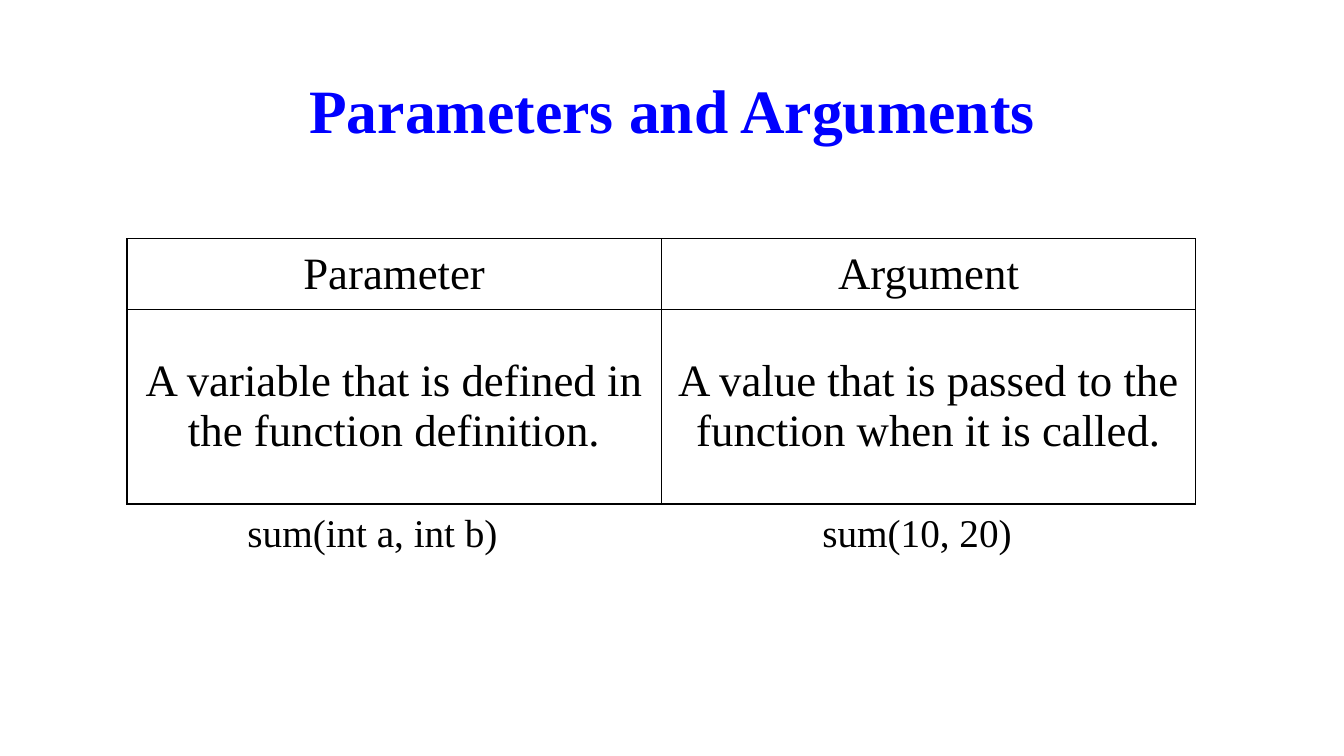
from dataclasses import dataclass

from lxml import etree
from pptx import Presentation
from pptx.dml.color import RGBColor
from pptx.enum import text as kinds
from pptx.oxml import ns
from pptx.util import Pt

PX = 9144


@dataclass(frozen=True)
class Theme:
    font: str = "Times New Roman"
    ink: str = "000000"
    blue: str = "0000FF"
    title: int = 44
    cell: int = 32
    code: int = 28
    rule: int = 1


THEME = Theme()


def px(*sizes):
    return [size * PX for size in sizes]


def write(frame, words, size, color=THEME.ink, bold=False, spacing=None):
    frame.word_wrap = True
    para = frame.paragraphs[0]
    para.text = words
    para.alignment = kinds.PP_ALIGN.CENTER
    para.line_spacing = spacing
    font = para.runs[0].font
    font.name = THEME.font
    font.size = Pt(size)
    font.bold = bold
    font.color.rgb = RGBColor.from_string(color)


def add_title(slide, words, box):
    title = slide.shapes.title
    title.left, title.top, title.width, title.height = px(*box)
    frame = title.text_frame
    frame.auto_size = kinds.MSO_AUTO_SIZE.NONE
    frame.vertical_anchor = kinds.MSO_ANCHOR.MIDDLE
    write(frame, words, THEME.title, THEME.blue, bold=True, spacing=0.9)


def add_code(slide, words, box):
    frame = slide.shapes.add_textbox(*px(*box)).text_frame
    frame.auto_size = kinds.MSO_AUTO_SIZE.SHAPE_TO_FIT_TEXT
    write(frame, words, THEME.code)


def frame_cell(cell):
    props = cell._tc.get_or_add_tcPr()
    for spot, side in enumerate(("lnL", "lnR", "lnT", "lnB")):
        line = etree.Element(ns.qn(f"a:{side}"), w=str(Pt(THEME.rule)))
        fill = etree.SubElement(line, ns.qn("a:solidFill"))
        etree.SubElement(fill, ns.qn("a:srgbClr"), val=THEME.ink)
        props.insert(spot, line)


def add_grid(slide, rows, box, heights, pads):
    table = slide.shapes.add_table(len(rows), len(rows[0]), *px(*box)).table
    table.first_row = table.horz_banding = False
    for row, height, words, (side, edge) in zip(table.rows, heights, rows, pads):
        row.height = height * PX
        for cell, label in zip(row.cells, words):
            cell.fill.background()
            cell.margin_left = cell.margin_right = side * PX
            cell.margin_top = cell.margin_bottom = edge * PX
            cell.vertical_anchor = kinds.MSO_ANCHOR.MIDDLE
            write(cell.text_frame, label, THEME.cell)
            frame_cell(cell)


def main():
    deck = Presentation()
    deck.slide_width, deck.slide_height = px(1333, 750)
    slide = deck.slides.add_slide(deck.slide_layouts[5])
    add_title(slide, "Parameters and Arguments", (92, 40, 1150, 145))
    terms = [
        ("Parameter", "Argument"),
        (
            "A variable that is defined in the function definition.",
            "A value that is passed to the function when it is called.",
        ),
    ]
    add_grid(slide, terms, (126, 237, 1060, 263), (70, 193), ((8, 4), (14, 14)))
    for left, call in ((190, "sum(int a, int b)"), (730, "sum(10, 20)")):
        add_code(slide, call, (left, 499, 359, 57))
    deck.save("out.pptx")


if __name__ == "__main__":
    main()
